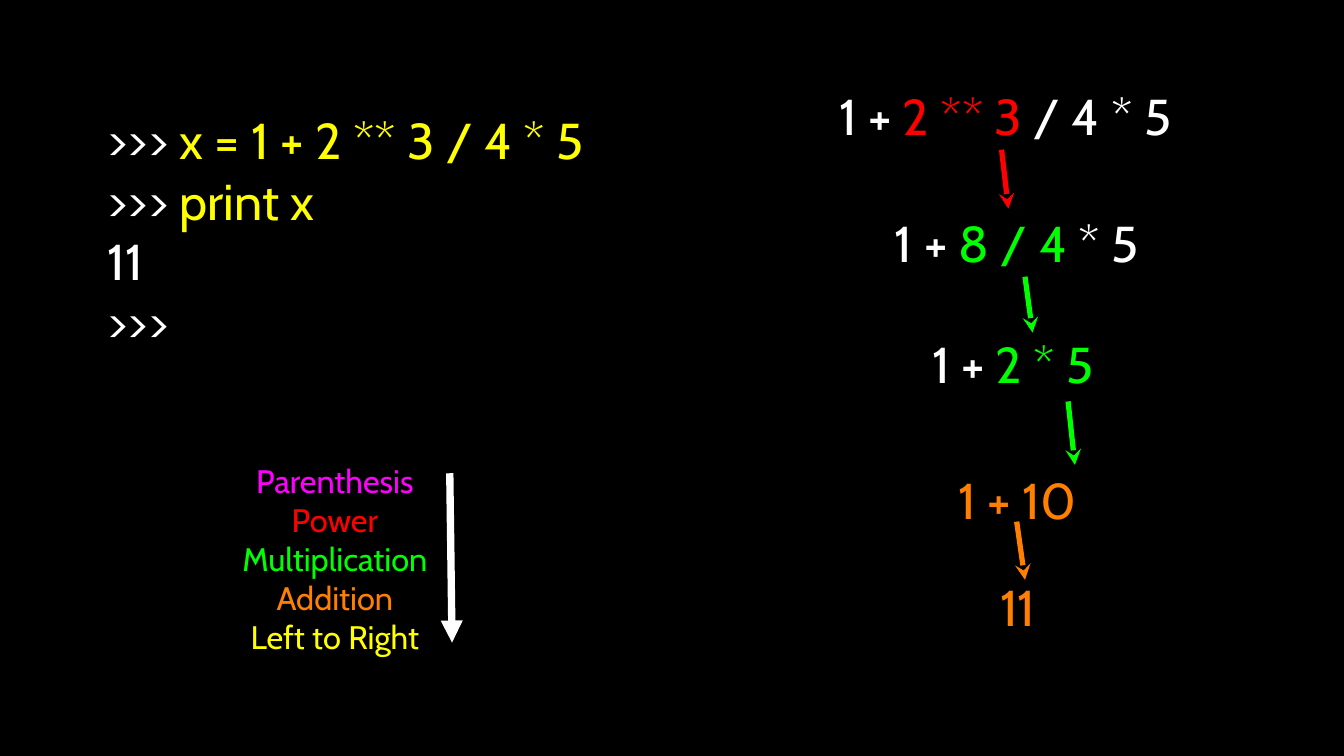
from lxml import etree
from pptx import Presentation
from pptx.dml.color import RGBColor
from pptx.enum.shapes import MSO_CONNECTOR
from pptx.enum.text import MSO_ANCHOR, MSO_AUTO_SIZE, PP_ALIGN
from pptx.oxml.ns import qn
from pptx.util import Inches, Pt

STRAIGHT = MSO_CONNECTOR.STRAIGHT
MIDDLE = MSO_ANCHOR.MIDDLE
FIT_SHAPE = MSO_AUTO_SIZE.SHAPE_TO_FIT_TEXT
LEFT = PP_ALIGN.LEFT
CENTER = PP_ALIGN.CENTER

BLACK = RGBColor(0x00, 0x00, 0x00)
WHITE = RGBColor(0xFF, 0xFF, 0xFF)
MAGENTA = RGBColor(0xFF, 0x00, 0xFF)
RED = RGBColor(0xFF, 0x00, 0x00)
GREEN = RGBColor(0x00, 0xFF, 0x00)
ORANGE = RGBColor(0xFF, 0x7F, 0x00)
YELLOW = RGBColor(0xFF, 0xFF, 0x00)


class Board:
    font_name = "Cabin"

    def __init__(self, slide):
        self.slide = slide
        slide.background.fill.solid()
        slide.background.fill.fore_color.rgb = BLACK

    def group(self):
        return self.slide.shapes.add_group_shape().shapes

    def text(self, lines, left, top, width, height, size=48, align=LEFT, shapes=None):
        shapes = shapes or self.slide.shapes
        box = shapes.add_textbox(Inches(left), Inches(top), Inches(width), Inches(height))
        frame = box.text_frame
        frame.margin_left = frame.margin_top = frame.margin_right = frame.margin_bottom = 0
        frame.vertical_anchor = MIDDLE
        frame.word_wrap = False
        frame.auto_size = FIT_SHAPE
        for index, line in enumerate(lines):
            paragraph = frame.add_paragraph() if index else frame.paragraphs[0]
            paragraph.alignment = align
            for words, color in line:
                run = paragraph.add_run()
                run.text = words
                run.font.name = self.font_name
                run.font.size = Pt(size)
                run.font.color.rgb = color

    def arrow(self, start, end, color, weight=5, head="stealth", shapes=None):
        shapes = shapes or self.slide.shapes
        ends = [Inches(value) for value in (*start, *end)]
        connector = shapes.add_connector(STRAIGHT, *ends)
        connector.line.color.rgb = color
        connector.line.width = Pt(weight)
        outline = connector.line._get_or_add_ln()
        etree.SubElement(outline, qn("a:tailEnd"), type=head)
        etree.SubElement(connector._element.spPr, qn("a:effectLst"))


def main():
    presentation = Presentation()
    presentation.slide_width = Inches(17.78)
    presentation.slide_height = Inches(10)
    board = Board(presentation.slides.add_slide(presentation.slide_layouts[6]))

    precedence = [
        ("Parenthesis", MAGENTA),
        ("Power", RED),
        ("Multiplication", GREEN),
        ("Addition", ORANGE),
        ("Left to Right", YELLOW),
    ]
    rules = board.group()
    board.text([[rule] for rule in precedence], 3.05, 6.09, 2.76, 2.59,
               size=31, align=CENTER, shapes=rules)
    board.arrow((5.95, 6.26), (5.98, 8.5), WHITE, weight=7, head="triangle", shapes=rules)

    evaluation_steps = [
        (11.1, 1.12, 5.03, [("1 + ", WHITE), ("2 ** 3", RED), (" / 4 * 5", WHITE)]),
        (11.84, 2.81, 3.56, [("1 + ", WHITE), ("8 / 4", GREEN), (" * 5", WHITE)]),
        (12.33, 4.41, 2.59, [("1 + ", WHITE), ("2 * 5", GREEN)]),
        (12.68, 6.2, 1.87, [("1 + 10", ORANGE)]),
        (13.23, 7.62, 0.76, [("11", ORANGE)]),
    ]
    for left, top, width, expression in evaluation_steps:
        board.text([expression], left, top, width, 0.8)

    reductions = [
        ((13.25, 1.98), (13.34, 2.76), RED),
        ((13.56, 3.66), (13.66, 4.4), GREEN),
        ((14.13, 5.31), (14.22, 6.15), GREEN),
        ((13.45, 6.9), (13.56, 7.67), ORANGE),
    ]
    for start, end, color in reductions:
        board.arrow(start, end, color)

    session = [
        [(">>> ", WHITE), ("x = 1 + 2 ** 3 / 4 * 5", YELLOW)],
        [(">>> ", WHITE), ("print x", YELLOW)],
        [("11", WHITE)],
        [(">>>", WHITE)],
    ]
    board.text(session, 1.42, 1.45, 7.42, 3.2)

    presentation.save("out.pptx")


if __name__ == "__main__":
    main()
